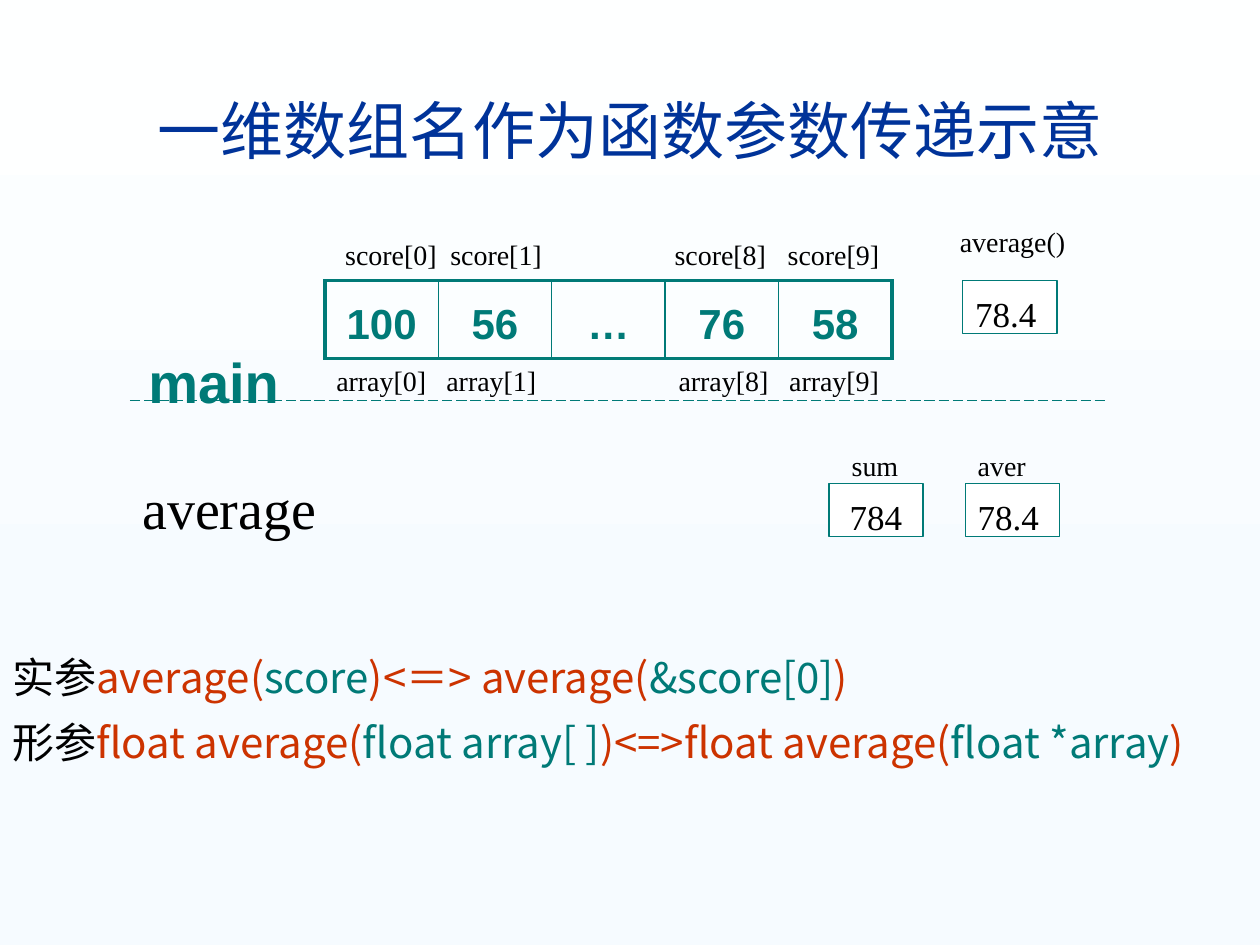
from dataclasses import dataclass

from lxml.etree import SubElement
from pptx import Presentation
from pptx.dml.color import RGBColor
from pptx.enum.dml import MSO_LINE
from pptx.enum.shapes import MSO_CONNECTOR, MSO_SHAPE
from pptx.enum.text import MSO_ANCHOR, PP_ALIGN
from pptx.oxml.ns import qn
from pptx.util import Cm, Pt

TEAL, RED, BLACK, WHITE, NAVY = "007A77", "CC3300", "000000", "FFFFFF", "003399"
SERIF, SANS, HAN = "Times New Roman", "Arial", "Noto Sans CJK SC"
LEFT, MID = PP_ALIGN.LEFT, PP_ALIGN.CENTER


@dataclass
class Style:
    """Font and paragraph look of a text."""
    size: int = 16
    font: str = SERIF
    color: str = BLACK
    bold: bool = False
    align: PP_ALIGN = LEFT
    space: float = 1.3


@dataclass
class Label:
    """Text box with its place in centimetres."""
    text: str
    place: tuple
    style: Style
    tabs: tuple = ()


@dataclass
class Value:
    """Framed variable value."""
    text: str
    left: float
    top: float
    align: PP_ALIGN = LEFT


LABELS = [
    Label("main", (2.74, 6.48, 4.65, 1.9), Style(32, SANS, TEAL, True)),
    Label("average", (2.62, 9.02, 4.6, 2.03), Style(32)),
    Label("score[0]\tscore[1]\tscore[8]\tscore[9]", (6.71, 4.47, 12.9, 1.14),
          Style(), (2.12, 6.64, 8.92)),
    Label("array[0]\tarray[1]\tarray[8]\tarray[9]", (6.53, 7.01, 12.7, 1.07),
          Style(), (2.22, 6.9, 9.13)),
    Label("average()", (19.1, 4.19, 3.2, 1.07), Style()),
    Label("sum", (16.92, 8.71, 1.9, 1.07), Style()),
    Label("aver", (19.46, 8.71, 1.9, 1.07), Style()),
]
VALUES = [Value("78.4", 19.41, 5.66), Value("78.4", 19.46, 9.75),
          Value("784", 16.71, 9.75, MID)]
SCORES = ["100", "56", "…", "76", "58"]
CALLS = [
    [("实参", BLACK), ("average(", RED), ("score", TEAL), (")<＝> average(", RED),
     ("&score[0]", TEAL), (")", RED)],
    [("形参", BLACK), ("float average(", RED), ("float array[ ]", TEAL),
     (")<=>float average(", RED), ("float *array", TEAL), (")", RED)],
]
STOPS = [(0, "FEFFFF"), (74, "F6FBFF"), (83, "F6FBFF"), (100, "F9FDFF")]


def rgb(code: str) -> RGBColor:
    """Turn a hex string into a colour."""
    return RGBColor.from_string(code)


def write(para, runs: list, style: Style) -> None:
    """Fill a paragraph with coloured runs."""
    para.alignment, para.line_spacing = style.align, style.space
    for text, color in runs:
        run = para.add_run()
        run.text = text
        font = run.font
        font.size, font.bold, font.name = Pt(style.size), style.bold, style.font
        font.color.rgb = rgb(color)
        SubElement(run._r.get_or_add_rPr(), qn("a:ea"), typeface=style.font)


def add_box(slide, place: tuple):
    """Add a wrapping text box and return its frame."""
    frame = slide.shapes.add_textbox(*map(Cm, place)).text_frame
    frame.word_wrap = True
    return frame


def add_label(slide, label: Label) -> None:
    """Add a one-line label with optional tab stops."""
    para = add_box(slide, label.place).paragraphs[0]
    write(para, [(label.text, label.style.color)], label.style)
    if label.tabs:
        stops = SubElement(para._p.get_or_add_pPr(), qn("a:tabLst"))
        for stop in label.tabs:
            SubElement(stops, qn("a:tab"), pos=str(Cm(stop)), algn="l")


def add_value(slide, value: Value) -> None:
    """Add a white rectangle holding a value."""
    shape = slide.shapes.add_shape(MSO_SHAPE.RECTANGLE, Cm(value.left),
                                   Cm(value.top), Cm(1.9), Cm(1.07))
    shape.shadow.inherit = False
    shape.fill.solid()
    shape.fill.fore_color.rgb = rgb(WHITE)
    shape.line.color.rgb = rgb(TEAL)
    shape.line.width = Pt(0.75)
    frame = shape.text_frame
    frame.word_wrap, frame.vertical_anchor = False, MSO_ANCHOR.MIDDLE
    write(frame.paragraphs[0], [(value.text, BLACK)], Style(20, align=value.align))


def add_edge(cell, side: str, width: float) -> None:
    """Draw one border of a table cell."""
    line = SubElement(cell._tc.get_or_add_tcPr(), qn(f"a:ln{side}"), w=str(Pt(width)))
    SubElement(SubElement(line, qn("a:solidFill")), qn("a:srgbClr"), val=TEAL)


def add_scores(slide) -> None:
    """Add the array as a table of one row."""
    count = len(SCORES)
    table = slide.shapes.add_table(1, count, Cm(6.55), Cm(5.66),
                                   Cm(11.43), Cm(1.57)).table
    table.first_row = table.horz_banding = False
    for col, text in enumerate(SCORES):
        cell = table.cell(0, col)
        write(cell.text_frame.paragraphs[0], [(text, TEAL)],
              Style(24, SANS, TEAL, True, MID))
        add_edge(cell, "L", 2.25 if col == 0 else 1)
        add_edge(cell, "R", 2.25 if col == count - 1 else 1)
        add_edge(cell, "T", 2.25)
        add_edge(cell, "B", 2.25)
        cell.fill.background()


def add_rule(slide) -> None:
    """Add the dashed line between the two functions."""
    rule = slide.shapes.add_connector(MSO_CONNECTOR.STRAIGHT, Cm(2.62), Cm(8.08),
                                      Cm(22.3), Cm(8.08))
    rule.line.color.rgb = rgb(TEAL)
    rule.line.width = Pt(0.75)
    rule.line.dash_style = MSO_LINE.LONG_DASH
    SubElement(rule._element.spPr, qn("a:effectLst"))


def add_ground(slide) -> None:
    """Set the pale vertical gradient."""
    fill = slide.background.fill
    fill.gradient()
    fill.gradient_angle = 270
    stops = slide.element.find(".//" + qn("a:gsLst"))
    for old in list(stops):
        stops.remove(old)
    for pos, color in STOPS:
        stop = SubElement(stops, qn("a:gs"), pos=str(pos * 1000))
        SubElement(stop, qn("a:srgbClr"), val=color)


def main() -> None:
    """Build and save the slide."""
    deck = Presentation()
    deck.slide_width, deck.slide_height = Cm(25.4), Cm(19.05)
    slide = deck.slides.add_slide(deck.slide_layouts[6])
    add_ground(slide)
    add_rule(slide)
    add_scores(slide)
    for label in LABELS:
        add_label(slide, label)
    for value in VALUES:
        add_value(slide, value)
    frame = add_box(slide, (0, 12.7, 25.4, 2.92))
    for row, runs in enumerate(CALLS):
        para = frame.add_paragraph() if row else frame.paragraphs[0]
        write(para, runs, Style(24, HAN))
    title = add_box(slide, (0.84, 1.7, 23.72, 1.83))
    title.vertical_anchor = MSO_ANCHOR.MIDDLE
    write(title.paragraphs[0], [("一维数组名作为函数参数传递示意", NAVY)],
          Style(36, HAN, NAVY, align=MID, space=1.0))
    deck.save("out.pptx")


if __name__ == "__main__":
    main()
